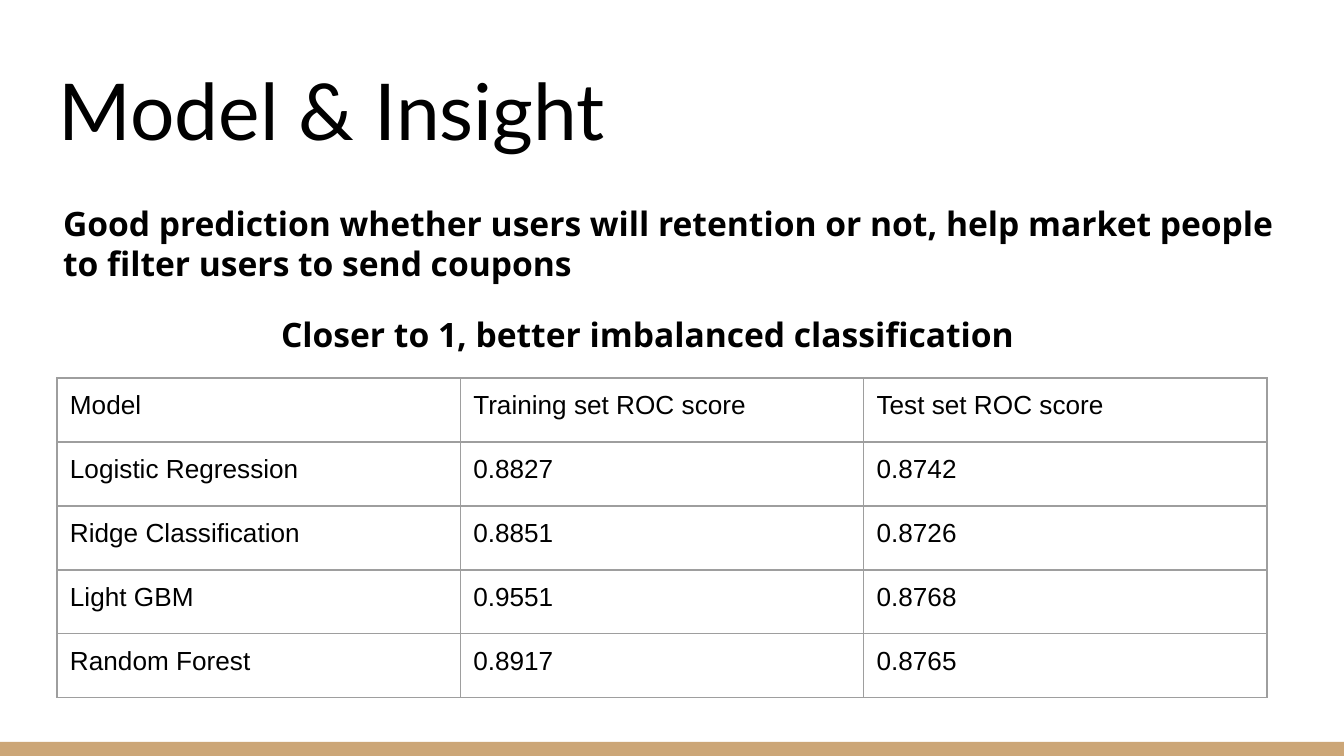
import lxml.etree
import pptx
import pptx.dml.color
import pptx.enum.shapes
import pptx.enum.text
import pptx.oxml.ns
import pptx.util

EMU_PER_PX = 914400 / 134.4
BLACK = pptx.dml.color.RGBColor(0x00, 0x00, 0x00)
WHITE = pptx.dml.color.RGBColor(0xFF, 0xFF, 0xFF)
TAN = pptx.dml.color.RGBColor(0xCC, 0xA6, 0x77)
BORDER_GREY = pptx.dml.color.RGBColor(0x9E, 0x9E, 0x9E)

TITLE_FONT = {"name": "Lato", "size": pptx.util.Pt(42), "bold": False}
BODY_FONT = {"name": "Open Sans", "size": pptx.util.Pt(18), "bold": True}
TABLE_FONT = {"name": "Arial", "size": pptx.util.Pt(14), "bold": False}


def px(length):
    return pptx.util.Emu(round(length * EMU_PER_PX))


def write(paragraph, text, font_format):
    run = paragraph.add_run()
    run.text = text
    for attribute, value in font_format.items():
        setattr(run.font, attribute, value)
    run.font.color.rgb = BLACK
    paragraph.alignment = pptx.enum.text.PP_ALIGN.LEFT


presentation = pptx.Presentation()
presentation.slide_width = px(1344)
presentation.slide_height = px(756)
slide = presentation.slides.add_slide(presentation.slide_layouts[1])
title = slide.shapes.title
body = slide.placeholders[1]

# Footer bar
bar = slide.shapes.add_shape(
    pptx.enum.shapes.MSO_SHAPE.RECTANGLE, px(0), px(742), px(1344), px(14)
)
bar.shadow.inherit = False
bar.fill.solid()
bar.fill.fore_color.rgb = TAN
bar.line.fill.background()

# Placement of the title and body placeholders
frame_format = {
    "margin_left": px(13),
    "margin_right": px(13),
    "margin_top": px(13),
    "margin_bottom": px(13),
    "word_wrap": True,
    "auto_size": pptx.enum.text.MSO_AUTO_SIZE.NONE,
}
placements = [
    (title, (46, 47, 1253, 122), pptx.enum.text.MSO_ANCHOR.BOTTOM),
    (body, (50, 190, 1253, 188), pptx.enum.text.MSO_ANCHOR.TOP),
]
for shape, box, anchor in placements:
    shape.left, shape.top, shape.width, shape.height = map(px, box)
    for attribute, value in frame_format.items():
        setattr(shape.text_frame, attribute, value)
    shape.text_frame.vertical_anchor = anchor

write(title.text_frame.paragraphs[0], "Model & Insight", TITLE_FONT)

# Body statements: text, left indent in px, space before in points
statements = [
    ("Good prediction whether users will retention or not, "
     "help market people to filter users to send coupons", 0, 0),
    ("Closer to 1, better imbalanced classification", 218, 16),
]
for index, (text, indent, space_before) in enumerate(statements):
    if index == 0:
        paragraph = body.text_frame.paragraphs[0]
    else:
        paragraph = body.text_frame.add_paragraph()
    write(paragraph, text, BODY_FONT)
    paragraph.line_spacing = 1.0
    paragraph.space_before = pptx.util.Pt(space_before)
    properties = paragraph._p.get_or_add_pPr()
    properties.set("marL", str(px(indent)))
    properties.set("indent", "0")
    lxml.etree.SubElement(properties, pptx.oxml.ns.qn("a:buNone"))

# Score table
scores = [
    ("Model", "Training set ROC score", "Test set ROC score"),
    ("Logistic Regression", "0.8827", "0.8742"),
    ("Ridge Classification", "0.8851", "0.8726"),
    ("Light GBM", "0.9551", "0.8768"),
    ("Random Forest", "0.8917", "0.8765"),
]
table = slide.shapes.add_table(
    len(scores), 3, px(57), px(378), px(1210), px(64 * len(scores))
).table
table.first_row = False
table.horz_banding = False
cell_margins = {
    f"margin_{side}": px(13) for side in ("left", "right", "top", "bottom")
}
for row_index, row_values in enumerate(scores):
    for column_index, value in enumerate(row_values):
        cell = table.cell(row_index, column_index)
        for attribute, margin in cell_margins.items():
            setattr(cell, attribute, margin)
        write(cell.text_frame.paragraphs[0], value, TABLE_FONT)

        # Borders come before the fill in the cell properties
        properties = cell._tc.get_or_add_tcPr()
        for edge in ("lnL", "lnR", "lnT", "lnB"):
            line = lxml.etree.SubElement(
                properties, pptx.oxml.ns.qn(f"a:{edge}"), w=str(pptx.util.Pt(0.75))
            )
            fill = lxml.etree.SubElement(line, pptx.oxml.ns.qn("a:solidFill"))
            lxml.etree.SubElement(
                fill, pptx.oxml.ns.qn("a:srgbClr"), val=str(BORDER_GREY)
            )
        cell.fill.solid()
        cell.fill.fore_color.rgb = WHITE

presentation.save("out.pptx")
